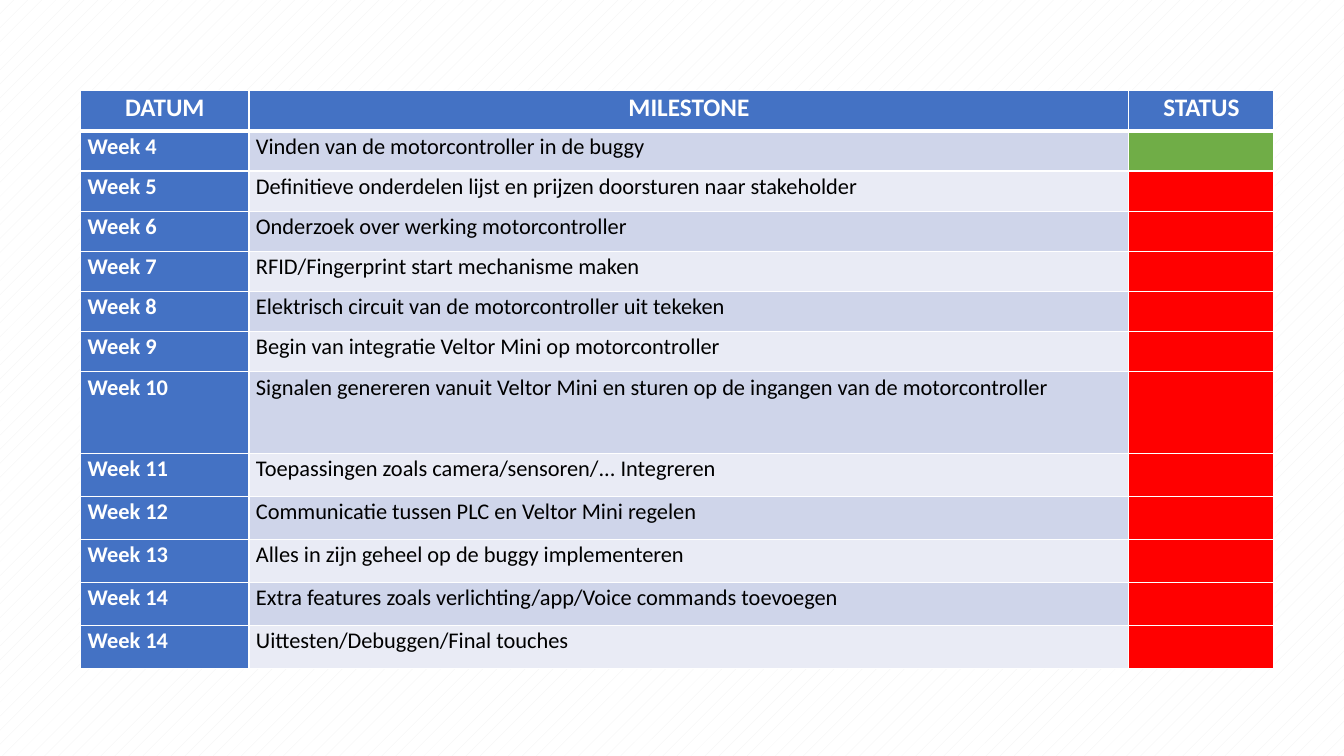
"""Build a slide with the weekly milestone table and its status colours."""
import lxml.etree
import pptx
import pptx.dml.color
import pptx.enum.dml
import pptx.enum.text
import pptx.oxml.ns
import pptx.util

RGBColor = pptx.dml.color.RGBColor
WHITE = RGBColor(0xFF, 0xFF, 0xFF)
BLACK = RGBColor(0x00, 0x00, 0x00)
HATCH = RGBColor(0xF2, 0xF2, 0xF2)
BLUE = RGBColor(0x44, 0x72, 0xC4)
BANDS = (RGBColor(0xCF, 0xD5, 0xEA), RGBColor(0xE9, 0xEB, 0xF5))
DONE = RGBColor(0x70, 0xAD, 0x47)
OPEN = RGBColor(0xFF, 0x00, 0x00)

FONT = "Calibri"
WIDTH, HEIGHT = pptx.util.Inches(13.33), pptx.util.Inches(7.5)
LEFT, TOP = 0.06, 0.12
TABLE_WIDTH, TABLE_HEIGHT = 0.888, 0.765
COLUMNS = (167, 873, 144)
ROWS = (40,) * 7 + (81,) + (43,) * 5
HEADINGS = ("DATUM", "MILESTONE", "STATUS")
MILESTONES = (
    ("Week 4", "Vinden van de motorcontroller in de buggy", DONE),
    ("Week 5", "Definitieve onderdelen lijst en prijzen doorsturen naar stakeholder", OPEN),
    ("Week 6", "Onderzoek over werking motorcontroller", OPEN),
    ("Week 7", "RFID/Fingerprint start mechanisme maken", OPEN),
    ("Week 8", "Elektrisch circuit van de motorcontroller uit tekeken", OPEN),
    ("Week 9", "Begin van integratie Veltor Mini op motorcontroller", OPEN),
    ("Week 10", "Signalen genereren vanuit Veltor Mini en sturen op de ingangen "
                "van de motorcontroller", OPEN),
    ("Week 11", "Toepassingen zoals camera/sensoren/... Integreren", OPEN),
    ("Week 12", "Communicatie tussen PLC en Veltor Mini regelen", OPEN),
    ("Week 13", "Alles in zijn geheel op de buggy implementeren", OPEN),
    ("Week 14", "Extra features zoals verlichting/app/Voice commands toevoegen", OPEN),
    ("Week 14", "Uittesten/Debuggen/Final touches", OPEN),
)


def set_background(s):
    """Give the slide its light dotted pattern."""
    fill = s.background.fill
    fill.patterned()
    fill.pattern = pptx.enum.dml.MSO_PATTERN.PERCENT_5
    fill.fore_color.rgb = HATCH
    fill.back_color.rgb = WHITE


def set_borders(cell, top=1, bottom=1):
    """Draw white lines on all four sides of a cell."""
    qn = pptx.oxml.ns.qn
    tcPr = cell._tc.get_or_add_tcPr()
    for side, points in (("L", 1), ("R", 1), ("T", top), ("B", bottom)):
        ln = lxml.etree.SubElement(tcPr, qn(f"a:ln{side}"), w=str(pptx.util.Pt(points)))
        fill = lxml.etree.SubElement(ln, qn("a:solidFill"))
        lxml.etree.SubElement(fill, qn("a:srgbClr"), val=str(WHITE))


def fill_cell(cell, color):
    """Set the fill and the margins of a cell."""
    cell.fill.solid()
    cell.fill.fore_color.rgb = color
    cell.margin_left = cell.margin_right = pptx.util.Inches(0.07)
    cell.margin_top = cell.margin_bottom = 0


def write_cell(cell, text, size=16, color=WHITE, bold=True, align="LEFT"):
    """Write one formatted run in a cell."""
    p = cell.text_frame.paragraphs[0]
    p.alignment = pptx.enum.text.PP_ALIGN[align]
    p.line_spacing = 1.07
    r = p.add_run()
    r.text = text
    r.font.name = FONT
    r.font.size = pptx.util.Pt(size)
    r.font.bold = bold
    r.font.color.rgb = color


def add_grid(s):
    """Add the empty table with its columns, rows and borders."""
    width, height = int(WIDTH * TABLE_WIDTH), int(HEIGHT * TABLE_HEIGHT)
    table = s.shapes.add_table(len(ROWS), len(COLUMNS), int(WIDTH * LEFT),
                               int(HEIGHT * TOP), width, height).table
    for column, share in zip(table.columns, COLUMNS):
        column.width = width * share // sum(COLUMNS)
    for i, (row, share) in enumerate(zip(table.rows, ROWS)):
        row.height = height * share // sum(ROWS)
        for cell in row.cells:
            set_borders(cell, top=3 if i == 1 else 1, bottom=3 if i == 0 else 1)
    return table


def add_milestones(s):
    """Fill the table with headings, weeks, milestones and statuses."""
    table = add_grid(s)
    for column, heading in enumerate(HEADINGS):
        cell = table.cell(0, column)
        fill_cell(cell, BLUE)
        write_cell(cell, heading, size=18, align="CENTER")
    for i, (week, milestone, status) in enumerate(MILESTONES):
        cells = table.rows[i + 1].cells
        for cell, color in zip(cells, (BLUE, BANDS[i % 2], status)):
            fill_cell(cell, color)
        write_cell(cells[0], week)
        write_cell(cells[1], milestone, color=BLACK, bold=False)


def main():
    """Create and save the presentation."""
    prs = pptx.Presentation()
    prs.slide_width, prs.slide_height = WIDTH, HEIGHT
    s = prs.slides.add_slide(prs.slide_layouts[6])
    set_background(s)
    add_milestones(s)
    prs.save("out.pptx")


main()
